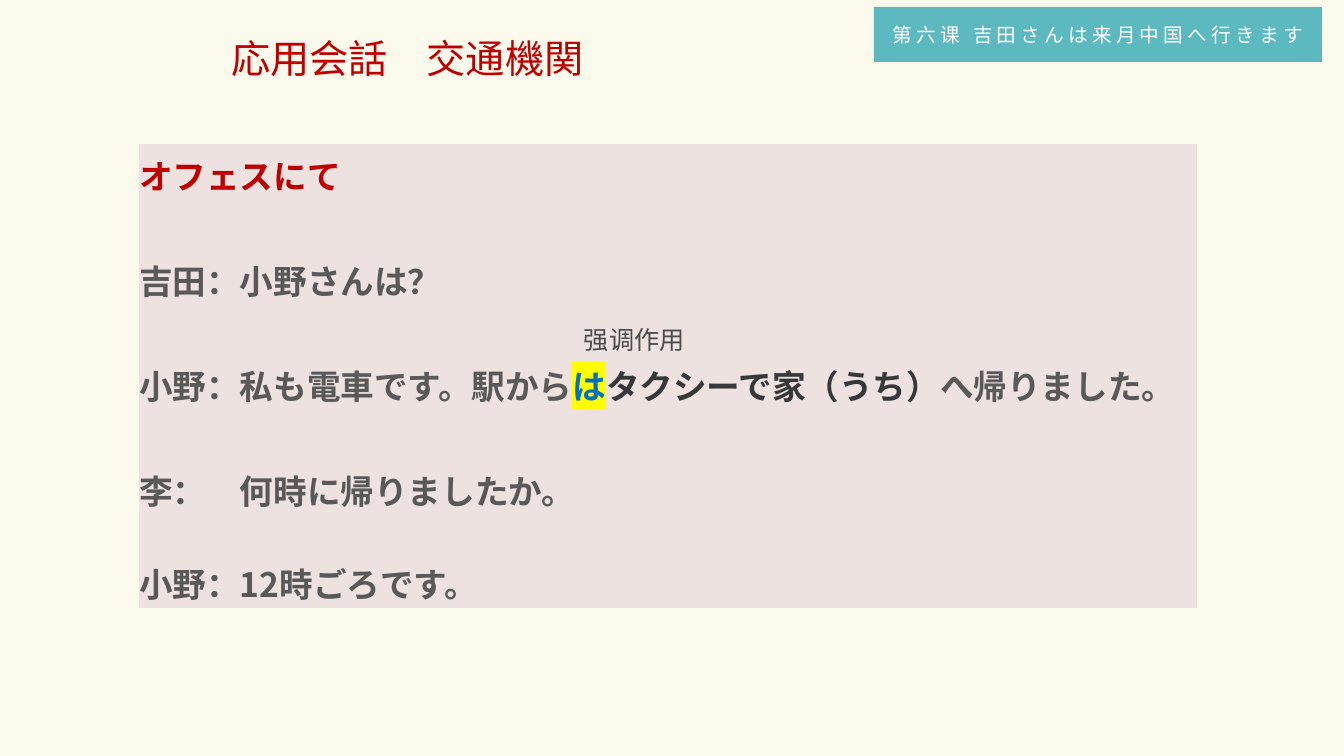
from dataclasses import dataclass
from typing import Optional

from lxml import etree
from pptx import Presentation
from pptx.dml.color import RGBColor
from pptx.enum import shapes, text
from pptx.oxml.ns import qn
from pptx.util import Emu, Pt

PX = 12700 * 72 / 100.8  # EMU in one px

CREAM = RGBColor(0xFB, 0xFA, 0xEC)
ROSE = RGBColor(0xED, 0xE2, 0xE0)
TEAL = RGBColor(0x5D, 0xB9, 0xC0)
RED = RGBColor(0xC0, 0x00, 0x00)
BLUE = RGBColor(0x00, 0x70, 0xC0)
YELLOW = RGBColor(0xFF, 0xFF, 0x00)
WHITE = RGBColor(0xFF, 0xFF, 0xFF)
GREY = RGBColor(0x59, 0x59, 0x59)
CHARCOAL = RGBColor(0x37, 0x38, 0x3A)
SLATE = RGBColor(0x49, 0x4B, 0x4D)

JP = "Noto Sans CJK JP"
SC = "Noto Sans CJK SC"


@dataclass
class Span:
    words: str
    color: RGBColor = GREY
    font: str = JP
    highlight: Optional[RGBColor] = None


DIALOGUE = [
    [Span("オフェスにて", RED, "Arial")],
    [Span("吉田：小野さんは？")],
    [
        Span("小野：私も電車です。駅から"),
        Span("は", BLUE, highlight=YELLOW),
        Span("タクシーで家（うち）", CHARCOAL),
        Span("へ帰りました。"),
    ],
    [Span("李：　何時に帰りましたか。")],
    [Span("小野：12時ごろです。")],
]


def px(n: int) -> Emu:
    return Emu(round(n * PX))


def place(sp, left: int, top: int, width: int, height: int) -> None:
    sp.left, sp.top, sp.width, sp.height = map(px, (left, top, width, height))


def add_text(p, words: str, *, size: int, color: RGBColor, font: str,
             bold: bool = False, spacing: int = 0,
             highlight: Optional[RGBColor] = None) -> None:
    r = p.add_run()
    r.text = words
    r.font.size, r.font.bold, r.font.name = Pt(size), bold, font
    r.font.color.rgb = color
    rpr = r.font._element
    ea = etree.Element(qn("a:ea"), typeface=font)
    rpr.find(qn("a:latin")).addnext(ea)
    if spacing:
        rpr.set("spc", str(spacing * 100))
    if highlight is not None:
        mark = etree.Element(qn("a:highlight"))
        etree.SubElement(mark, qn("a:srgbClr"), val=str(highlight))
        rpr.find(qn("a:solidFill")).addnext(mark)


def fill_body(tf) -> None:
    for i, spans in enumerate(DIALOGUE):
        p = tf.add_paragraph() if i else tf.paragraphs[0]
        p.alignment = text.PP_ALIGN.LEFT
        p.line_spacing = 1.3 if i < len(DIALOGUE) - 1 else 1.0
        p.space_before = Pt(37.5 if i else 0)
        p.space_after = Pt(0)
        ppr = p._p.get_or_add_pPr()
        ppr.set("marL", "0")
        ppr.set("indent", "0")
        etree.SubElement(ppr, qn("a:buNone"))
        for s in spans:
            add_text(p, s.words, size=24, color=s.color, font=s.font,
                     bold=True, highlight=s.highlight)


def main() -> None:
    prs = Presentation()
    prs.slide_width, prs.slide_height = px(1344), px(756)
    slide = prs.slides.add_slide(prs.slide_layouts[1])
    slide.background.fill.solid()
    slide.background.fill.fore_color.rgb = CREAM

    # Title
    title = slide.shapes.title
    place(title, 221, 29, 420, 57)
    tf = title.text_frame
    tf.vertical_anchor = text.MSO_ANCHOR.TOP
    tf.auto_size = text.MSO_AUTO_SIZE.NONE
    p = tf.paragraphs[0]
    p.alignment = text.PP_ALIGN.JUSTIFY
    add_text(p, "応用会話　交通機関", size=28, color=RED, font=SC)

    # Dialogue
    body = slide.placeholders[1]
    place(body, 139, 144, 1058, 464)
    body.fill.solid()
    body.fill.fore_color.rgb = ROSE
    tf = body.text_frame
    tf.margin_left = tf.margin_top = tf.margin_right = tf.margin_bottom = 0
    tf.vertical_anchor = text.MSO_ANCHOR.TOP
    tf.auto_size = text.MSO_AUTO_SIZE.NONE
    fill_body(tf)

    # Lesson banner
    banner = slide.shapes.add_shape(shapes.MSO_SHAPE.RECTANGLE, 0, 0, 0, 0)
    place(banner, 874, 7, 448, 55)
    banner.shadow.inherit = False
    banner.fill.solid()
    banner.fill.fore_color.rgb = TEAL
    banner.line.fill.background()
    tf = banner.text_frame
    tf.vertical_anchor = text.MSO_ANCHOR.MIDDLE
    p = tf.paragraphs[0]
    p.alignment = text.PP_ALIGN.CENTER
    add_text(p, "第六课 吉田さんは来月中国へ行きます", size=14, color=WHITE,
             font=SC, spacing=3)

    # Note above the highlighted particle
    note = slide.shapes.add_textbox(0, 0, 0, 0)
    place(note, 574, 319, 121, 40)
    tf = note.text_frame
    tf.word_wrap = False
    add_text(tf.paragraphs[0], "强调作用", size=18, color=SLATE, font="Arial")

    prs.save("out.pptx")


if __name__ == "__main__":
    main()
